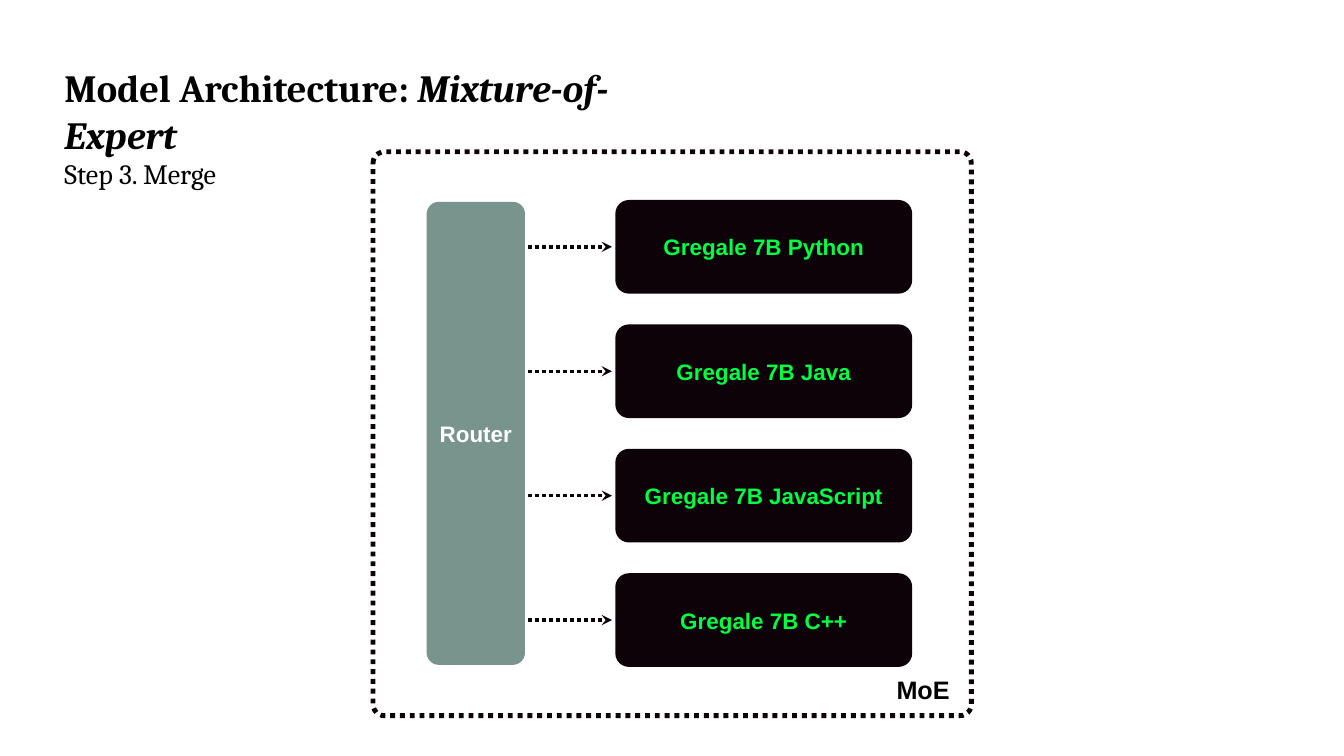
"""Build the mixture-of-experts slide: a router feeding four merged expert models."""
from typing import NamedTuple, Optional

import lxml.etree
import pptx
import pptx.dml.color
import pptx.enum.dml
import pptx.enum.shapes
import pptx.enum.text
import pptx.oxml.ns
import pptx.util

Cm, Pt = pptx.util.Cm, pptx.util.Pt
PP_ALIGN, MSO_ANCHOR = pptx.enum.text.PP_ALIGN, pptx.enum.text.MSO_ANCHOR

COLORS = {
    "ink": "0D0208",
    "neon": "00FF41",
    "sage": "78948D",
    "white": "FFFFFF",
    "black": "000000",
}
EXPERTS = ["Python", "Java", "JavaScript", "C++"]
EXPERT_LEFT, EXPERT_TOP, EXPERT_PITCH = 31.01, 10.08, 6.27
EXPERT_WIDTH, EXPERT_HEIGHT = 14.96, 4.72
ARROW_START, ARROW_END = 26.62, 30.84


class Box(NamedTuple):
    left: float
    top: float
    width: float
    height: float
    corner: float
    fill: Optional[str] = None
    line: Optional[str] = None
    line_pt: float = 0
    dotted: bool = False
    text: str = ""
    text_color: str = "white"


def rgb(name: str) -> pptx.dml.color.RGBColor:
    return pptx.dml.color.RGBColor.from_string(COLORS[name])


def format_run(r, font: str, size: float, color: str, bold: bool, italic: bool = False) -> None:
    r.font.name, r.font.size = font, Pt(size)
    r.font.bold, r.font.italic = bold, italic
    r.font.color.rgb = rgb(color)


def set_margins(tf, margin: float) -> None:
    tf.margin_left = tf.margin_right = tf.margin_top = tf.margin_bottom = Cm(margin)


def set_line(line, color: str, width: float, dotted: bool) -> None:
    line.color.rgb = rgb(color)
    line.width = Pt(width)
    if dotted:
        line.dash_style = pptx.enum.dml.MSO_LINE.ROUND_DOT


def add_box(slide, box: Box) -> None:
    sp = slide.shapes.add_shape(
        pptx.enum.shapes.MSO_SHAPE.ROUNDED_RECTANGLE,
        Cm(box.left), Cm(box.top), Cm(box.width), Cm(box.height))
    sp.adjustments[0] = box.corner
    sp.shadow.inherit = False
    if box.fill:
        sp.fill.solid()
        sp.fill.fore_color.rgb = rgb(box.fill)
    else:
        sp.fill.background()
    if box.line:
        set_line(sp.line, box.line, box.line_pt, box.dotted)
    else:
        sp.line.fill.background()
    if box.text:
        tf = sp.text_frame
        set_margins(tf, 0.15)
        tf.vertical_anchor = MSO_ANCHOR.MIDDLE
        p = tf.paragraphs[0]
        p.text = box.text
        p.alignment = PP_ALIGN.CENTER
        format_run(p.runs[0], "Arial", 32, box.text_color, True)


def add_arrow(slide, y: float) -> None:
    cxn = slide.shapes.add_connector(
        pptx.enum.shapes.MSO_CONNECTOR.STRAIGHT,
        Cm(ARROW_START), Cm(y), Cm(ARROW_END), Cm(y))
    set_line(cxn.line, "ink", 5, True)
    qn = pptx.oxml.ns.qn
    sp_pr = cxn.line._get_or_add_ln().getparent()
    lxml.etree.SubElement(sp_pr.find(qn("a:ln")), qn("a:tailEnd"), type="stealth")
    lxml.etree.SubElement(sp_pr, qn("a:effectLst"))


def add_heading(slide) -> None:
    title = slide.shapes.title
    title.left, title.top, title.width, title.height = Cm(3.12), Cm(3.12), Cm(32.59), Cm(6.48)
    tf = title.text_frame
    tf.text = "Model Architecture: \nStep 3. Merge"
    tf.word_wrap = True
    tf.auto_size = pptx.enum.text.MSO_AUTO_SIZE.NONE
    tf.vertical_anchor = MSO_ANCHOR.TOP
    set_margins(tf, 0.13)
    heading, step = tf.paragraphs
    name = heading.add_run()
    name.text = "Mixture-of-Expert"
    heading.alignment = step.alignment = PP_ALIGN.LEFT
    format_run(heading.runs[0], "Cambria", 55, "black", True)
    format_run(name, "Cambria", 55, "black", True, True)
    format_run(step.runs[0], "Cambria", 40, "black", False)


def add_frame_label(slide) -> None:
    sp = slide.shapes.add_textbox(Cm(45.03), Cm(33.96), Cm(3.07), Cm(1.8))
    tf = sp.text_frame
    set_margins(tf, 0.15)
    tf.word_wrap = False
    tf.auto_size = pptx.enum.text.MSO_AUTO_SIZE.SHAPE_TO_FIT_TEXT
    tf.vertical_anchor = MSO_ANCHOR.MIDDLE
    p = tf.paragraphs[0]
    p.text = "MoE"
    p.line_spacing = 0.9
    format_run(p.runs[0], "Arial", 36, "black", True)


def main() -> None:
    prs = pptx.Presentation()
    prs.slide_width, prs.slide_height = Cm(67.73), Cm(38.1)
    slide = prs.slides.add_slide(prs.slide_layouts[5])
    add_heading(slide)
    tops = [EXPERT_TOP + i * EXPERT_PITCH for i in range(len(EXPERTS))]
    for top, language in zip(tops, EXPERTS):
        add_box(slide, Box(EXPERT_LEFT, top, EXPERT_WIDTH, EXPERT_HEIGHT, 0.145,
                           fill="ink", text=f"Gregale 7B {language}", text_color="neon"))
    add_box(slide, Box(18.8, 7.65, 30.15, 28.42, 0.02, line="ink", line_pt=7, dotted=True))
    add_frame_label(slide)
    add_box(slide, Box(21.59, 10.26, 4.78, 23.16, 0.11,
                       fill="sage", line="sage", line_pt=5, text="Router"))
    for top in tops:
        add_arrow(slide, top + EXPERT_HEIGHT / 2)
    prs.save("out.pptx")


if __name__ == "__main__":
    main()
